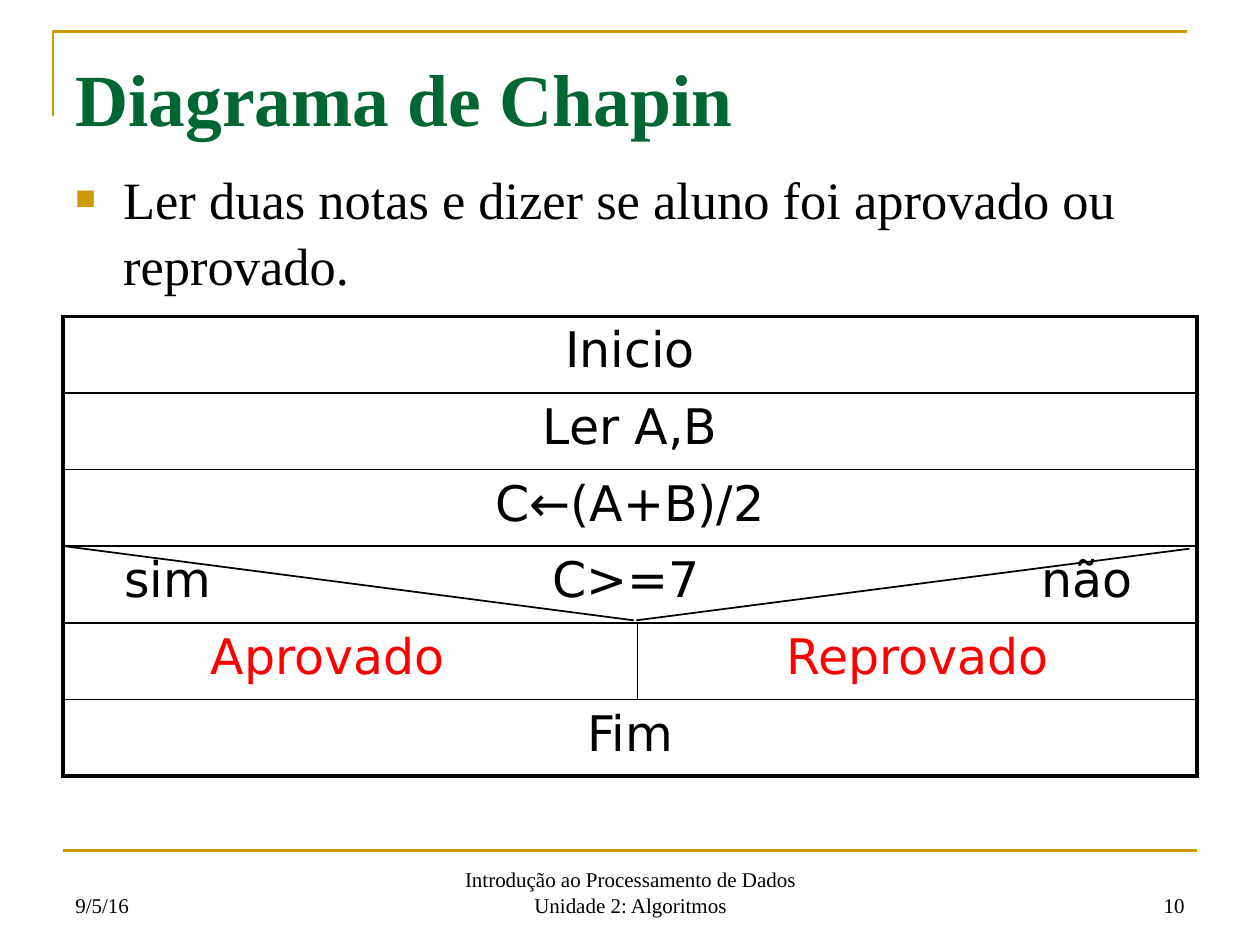
from dataclasses import dataclass

from lxml import etree
from pptx import Presentation
from pptx.dml.color import RGBColor
from pptx.enum.shapes import MSO_CONNECTOR
from pptx.enum.text import MSO_ANCHOR, PP_ALIGN
from pptx.oxml.ns import qn
from pptx.util import Inches, Pt

STRAIGHT = MSO_CONNECTOR.STRAIGHT
TOP, BOTTOM = MSO_ANCHOR.TOP, MSO_ANCHOR.BOTTOM
LEFT, CENTER, RIGHT = PP_ALIGN.LEFT, PP_ALIGN.CENTER, PP_ALIGN.RIGHT


@dataclass(frozen=True)
class Theme:
    """Colours, fonts and sizes of the slide."""
    gold: str = "CC9900"
    green: str = "006633"
    black: str = "000000"
    red: str = "FF0000"
    serif: str = "Times New Roman"
    sans: str = "DejaVu Sans"
    title: int = 42
    body: int = 30
    cell: int = 28
    footer: int = 12
    thin: float = 1
    rule: float = 1.5
    thick: float = 2.25


THEME = Theme()


def add_run(paragraph, text, size, color, font=THEME.serif, bold=False):
    """Add one formatted run to a paragraph."""
    run = paragraph.add_run()
    run.text = text
    run.font.size = Pt(size)
    run.font.name = font
    run.font.bold = bold
    run.font.color.rgb = RGBColor.from_string(color)


def add_text(slide, box, lines, size, color, align=LEFT, anchor=TOP, bold=False, top_inset=0.05):
    """Add a wrapping text box with one paragraph per line and return its frame."""
    frame = slide.shapes.add_textbox(*map(Inches, box)).text_frame
    frame.word_wrap = True
    frame.vertical_anchor = anchor
    frame.margin_top = Inches(top_inset)
    for index, line in enumerate(lines):
        paragraph = frame.add_paragraph() if index else frame.paragraphs[0]
        paragraph.alignment = align
        add_run(paragraph, line, size, color, bold=bold)
    return frame


def add_line(slide, start, end, color, width):
    """Add a straight line without shadow."""
    line = slide.shapes.add_connector(STRAIGHT, *map(Inches, (*start, *end)))
    line.line.color.rgb = RGBColor.from_string(color)
    line.line.width = Pt(width)
    etree.SubElement(line._element.spPr, qn("a:effectLst"))


def add_frame(slide, box):
    """Draw the gold corner at the top left of the slide."""
    left, top, width, height = box
    builder = slide.shapes.build_freeform(Inches(left), Inches(top + height))
    corner = [(Inches(left), Inches(top)), (Inches(left + width), Inches(top))]
    builder.add_line_segments(corner, close=False)
    shape = builder.convert_to_shape()
    shape.shadow.inherit = False
    shape.fill.background()
    shape.line.color.rgb = RGBColor.from_string(THEME.gold)
    shape.line.width = Pt(THEME.rule)


def add_body(slide, box, text):
    """Add the statement with its square bullet."""
    frame = add_text(slide, box, [text], THEME.body, THEME.black, top_inset=0.08)
    paragraph = frame.paragraphs[0]
    paragraph.line_spacing = 1.05
    properties = paragraph._p.get_or_add_pPr()
    properties.set("marL", str(Inches(0.38)))
    properties.set("indent", str(-Inches(0.38)))
    color = etree.SubElement(properties, qn("a:buClr"))
    etree.SubElement(color, qn("a:srgbClr"), val=THEME.gold)
    etree.SubElement(properties, qn("a:buSzPct"), val="65000")
    etree.SubElement(properties, qn("a:buFont"), typeface=THEME.serif)
    etree.SubElement(properties, qn("a:buChar"), char="■")


def add_border(cell, side, width):
    """Draw one solid border of a cell."""
    properties = cell._tc.get_or_add_tcPr()
    line = etree.SubElement(properties, qn(f"a:ln{side}"), w=str(Pt(width)))
    fill = etree.SubElement(line, qn("a:solidFill"))
    etree.SubElement(fill, qn("a:srgbClr"), val=THEME.black)


def add_tab_stops(paragraph, positions):
    """Set centred tab stops, measured from the text edge."""
    stops = etree.SubElement(paragraph._p.get_or_add_pPr(), qn("a:tabLst"))
    for position in positions:
        etree.SubElement(stops, qn("a:tab"), pos=str(Inches(position)), algn="ctr")


def add_chapin_table(slide, box, rows):
    """Add the one-column table of diagram steps."""
    table = slide.shapes.add_table(len(rows), 1, *map(Inches, box)).table
    table.first_row = False
    table.horz_banding = False
    last = len(rows) - 1
    for index, (parts, color, stops) in enumerate(rows):
        cell = table.cell(index, 0)
        widths = {
            "L": THEME.thick,
            "R": THEME.thick,
            "T": THEME.thin if index else THEME.thick,
            "B": THEME.thin if index < last else THEME.thick,
        }
        for side, width in widths.items():
            add_border(cell, side, width)
        cell.fill.background()
        paragraph = cell.text_frame.paragraphs[0]
        paragraph.alignment = LEFT if stops else CENTER
        if stops:
            add_tab_stops(paragraph, stops)
        text = "".join(f"\t{part}" for part in parts) if stops else parts[0]
        add_run(paragraph, text, THEME.cell, color, THEME.sans)


def add_decision_lines(slide, box):
    """Draw the decision wedge and the divider between its two branches."""
    left, top, width, height = box
    middle = left + width / 2 + 0.04
    tip = top + height - 0.02
    add_line(slide, (left + 0.01, top), (middle - 0.01, tip), THEME.black, THEME.thin)
    add_line(slide, (middle + 0.01, tip), (left + width - 0.06, top + 0.02), THEME.black, THEME.thin)
    add_line(slide, (middle + 0.02, top + height), (middle + 0.02, top + 2 * height), THEME.black, THEME.thin)


def add_footer(slide, box):
    """Add the footer rule, date, course name and page number."""
    left, top, width, height = box
    add_line(slide, (left, top), (left + width, top), THEME.gold, THEME.rule)
    fields = [
        (left, 2.33, ["9/5/16"], LEFT),
        (left + 2.92, 3.17, ["Introdução ao Processamento de Dados", "Unidade 2: Algoritmos"], CENTER),
        (left + width - 2.33, 2.33, ["10"], RIGHT),
    ]
    for x, field_width, lines, align in fields:
        field_box = (x, top + 0.08, field_width, height - 0.08)
        add_text(slide, field_box, lines, THEME.footer, THEME.black, align, BOTTOM)


def main():
    """Build and save the slide."""
    presentation = Presentation()
    presentation.slide_width = Inches(10)
    presentation.slide_height = Inches(7.5)
    slide = presentation.slides.add_slide(presentation.slide_layouts[6])
    rows = [
        (["Inicio"], THEME.black, []),
        (["Ler A,B"], THEME.black, []),
        (["C←(A+B)/2"], THEME.black, []),
        (["sim", "C>=7", "não"], THEME.black, [0.73, 4.37, 8.03]),
        (["Aprovado", "Reprovado"], THEME.red, [2, 6.68]),
        (["Fim"], THEME.black, []),
    ]
    left, top, width, height = 0.5, 2.51, 9, 3.65
    row_height = height / len(rows)
    add_frame(slide, (0.42, 0.25, 9, 0.67))
    add_footer(slide, (left, 6.75, width, 0.58))
    add_text(slide, (left, 0.3, width, 1.25), ["Diagrama de Chapin"], THEME.title, THEME.green,
             bold=True, top_inset=0.12)
    add_body(slide, (left, 1.22, width, 1.14), "Ler duas notas e dizer se aluno foi aprovado ou reprovado.")
    add_chapin_table(slide, (left, top, width, height), rows)
    add_decision_lines(slide, (left, top + 3 * row_height, width, row_height))
    presentation.save("out.pptx")


if __name__ == "__main__":
    main()
